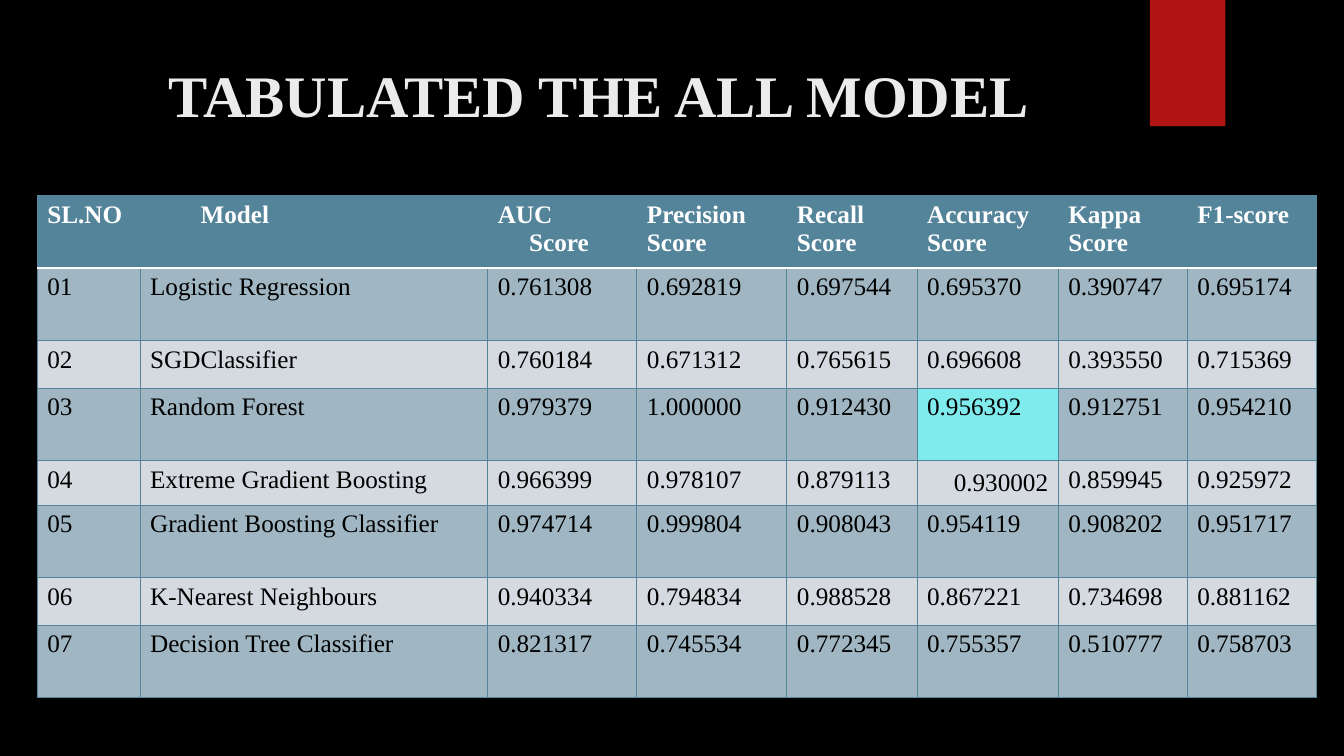
from lxml import etree
from pptx import Presentation
from pptx.dml.color import RGBColor
from pptx.enum.shapes import MSO_SHAPE
from pptx.enum.text import MSO_ANCHOR, PP_ALIGN
from pptx.oxml.ns import qn
from pptx.util import Cm, Pt

RECT = MSO_SHAPE.RECTANGLE
TOP, MIDDLE = MSO_ANCHOR.TOP, MSO_ANCHOR.MIDDLE
LEFT, RIGHT = PP_ALIGN.LEFT, PP_ALIGN.RIGHT

BLACK = RGBColor(0x00, 0x00, 0x00)
WHITE = RGBColor(0xFF, 0xFF, 0xFF)
PALE = RGBColor(0xEB, 0xEB, 0xEB)
RED = RGBColor(0xB0, 0x15, 0x13)
STEEL = RGBColor(0x54, 0x84, 0x9A)
BAND = RGBColor(0xA0, 0xB7, 0xC3)
LIGHT = RGBColor(0xD5, 0xDA, 0xE0)
CYAN = RGBColor(0x7F, 0xEB, 0xED)

FACE = "Times New Roman"
TITLE = {"name": FACE, "size": Pt(42), "bold": True}
HEAD = {"name": FACE, "size": Pt(18), "bold": True}
BODY = {"name": FACE, "size": Pt(18), "bold": False}

WIDTHS = [2.59, 8.76, 3.76, 3.78, 3.28, 3.56, 3.25, 3.25]
HEIGHTS = [1.83, 1.83, 1.19, 1.83, 1.12, 1.83, 1.19, 1.83]
ACCURACY = 5
BEST = (3, ACCURACY)
SHIFTED = (4, ACCURACY)

# Each heading is a list of (text, indent in cm)
HEADINGS = [
    [("SL.NO", 0)],
    [("Model", 1.27)],
    [("AUC", 0), ("Score", 0.79)],
    [("Precision Score", 0)],
    [("Recall Score", 0)],
    [("Accuracy Score", 0)],
    [("Kappa Score", 0)],
    [("F1-score", 0)],
]
MODELS = [
    ("Logistic Regression", "0.761308", "0.692819", "0.697544",
     "0.695370", "0.390747", "0.695174"),
    ("SGDClassifier", "0.760184", "0.671312", "0.765615",
     "0.696608", "0.393550", "0.715369"),
    ("Random Forest", "0.979379", "1.000000", "0.912430",
     "0.956392", "0.912751", "0.954210"),
    ("Extreme Gradient Boosting", "0.966399", "0.978107", "0.879113",
     "0.930002", "0.859945", "0.925972"),
    ("Gradient Boosting Classifier", "0.974714", "0.999804", "0.908043",
     "0.954119", "0.908202", "0.951717"),
    ("K-Nearest Neighbours", "0.940334", "0.794834", "0.988528",
     "0.867221", "0.734698", "0.881162"),
    ("Decision Tree Classifier", "0.821317", "0.745534", "0.772345",
     "0.755357", "0.510777", "0.758703"),
]


def write(para, text, style, color, indent=0, align=LEFT):
    para.alignment = align
    if indent:
        props = para._p.get_or_add_pPr()
        props.set("marL", str(Cm(indent)))
        props.set("indent", "0")
    run = para.add_run()
    run.text = text
    for key, value in style.items():
        setattr(run.font, key, value)
    run.font.color.rgb = color


def add_title(slide, text):
    box = slide.shapes.add_textbox(Cm(3.99), Cm(1.24), Cm(26.14), Cm(3.02))
    frame = box.text_frame
    frame.word_wrap = True
    frame.vertical_anchor = TOP
    frame.margin_top = Cm(0.25)
    write(frame.paragraphs[0], text, TITLE, PALE)


def add_tab(slide):
    tab = slide.shapes.add_shape(RECT, Cm(28.98), 0, Cm(1.9), Cm(3.18))
    tab.shadow.inherit = False
    tab.fill.solid()
    tab.fill.fore_color.rgb = RED
    tab.line.fill.background()


def add_edge(cell, side, color, width):
    props = cell._tc.get_or_add_tcPr()
    line = etree.SubElement(props, qn("a:ln" + side), w=str(Pt(width)))
    fill = etree.SubElement(line, qn("a:solidFill"))
    etree.SubElement(fill, qn("a:srgbClr"), val=str(color))


def paint(cell, row, color):
    # White rule between the heading row and the first model
    rules = {(0, "B"), (1, "T")}
    for side in "LRTB":
        edge = (WHITE, 1.5) if (row, side) in rules else (STEEL, 0.75)
        add_edge(cell, side, *edge)
    cell.fill.solid()
    cell.fill.fore_color.rgb = color


def fill_head(table):
    for col, lines in enumerate(HEADINGS):
        cell = table.cell(0, col)
        paint(cell, 0, STEEL)
        frame = cell.text_frame
        for num, (text, indent) in enumerate(lines):
            para = frame.add_paragraph() if num else frame.paragraphs[0]
            write(para, text, HEAD, WHITE, indent)


def fill_body(table):
    for row, model in enumerate(MODELS, 1):
        for col, text in enumerate((f"{row:02}", *model)):
            cell = table.cell(row, col)
            shade = BAND if row % 2 else LIGHT
            paint(cell, row, CYAN if (row, col) == BEST else shade)
            moved = (row, col) == SHIFTED
            cell.vertical_anchor = MIDDLE if moved else TOP
            write(cell.text_frame.paragraphs[0], text, BODY, BLACK,
                  align=RIGHT if moved else LEFT)


def add_scores(slide):
    frame = slide.shapes.add_table(
        len(HEIGHTS), len(WIDTHS), Cm(0.94), Cm(4.93),
        Cm(sum(WIDTHS)), Cm(sum(HEIGHTS)))
    table = frame.table
    table.horz_banding = False
    for col, width in zip(table.columns, WIDTHS):
        col.width = Cm(width)
    for row, height in zip(table.rows, HEIGHTS):
        row.height = Cm(height)
    fill_head(table)
    fill_body(table)


def main():
    deck = Presentation()
    deck.slide_width, deck.slide_height = Cm(33.87), Cm(19.05)
    slide = deck.slides.add_slide(deck.slide_layouts[6])

    # Background
    slide.background.fill.solid()
    slide.background.fill.fore_color.rgb = BLACK

    # Red tab, title and score table
    add_tab(slide)
    add_title(slide, "TABULATED THE ALL MODEL")
    add_scores(slide)

    deck.save("out.pptx")


if __name__ == "__main__":
    main()
